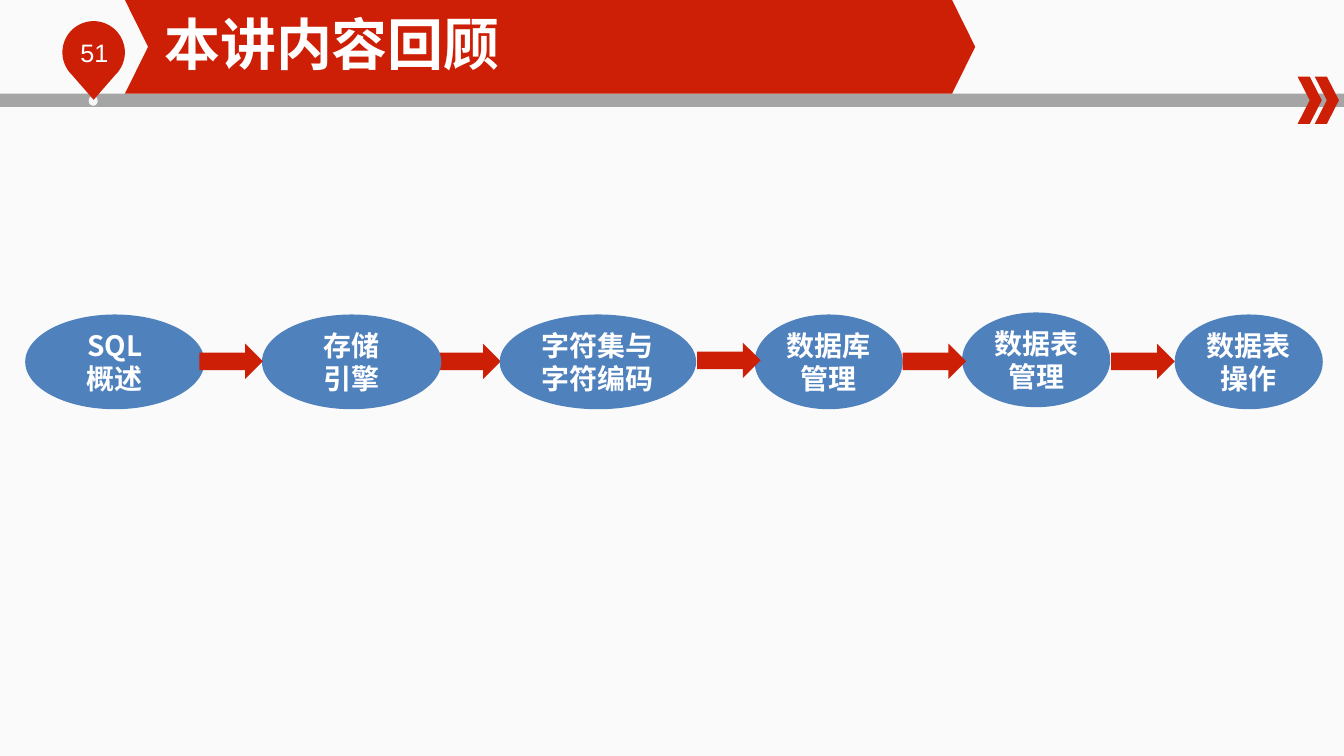
from dataclasses import dataclass
from math import cos, radians, sin

from lxml.etree import SubElement
from pptx import Presentation
from pptx.dml.color import RGBColor as RGB
from pptx.enum.shapes import MSO_SHAPE as SHAPE
from pptx.enum.text import MSO_ANCHOR as ANCHOR, MSO_AUTO_SIZE as AUTO, PP_ALIGN as ALIGN
from pptx.oxml.ns import qn
from pptx.util import Inches, Pt


@dataclass(frozen=True)
class Theme:
    """Colours, fonts and type sizes of the slide."""
    red: str = "CD1F06"
    blue: str = "4F81BD"
    grey: str = "A5A5A5"
    dot: str = "F6F6F6"
    white: str = "FFFFFF"
    back: tuple = ("FAFAFA", "FCFCFC")
    font: str = "Noto Sans CJK SC"
    number_font: str = "Arial"
    title_size: int = 40
    topic_size: int = 20
    number_size: int = 18


T = Theme()
W, H = 13.34, 7.5
TOPIC_H = 0.94
ARROW_W, ARROW_H = 0.63, 0.35
TOPICS = [
    ("SQL\n概述", 0.25, 3.12, 1.78),
    ("存储\n引擎", 2.6, 3.12, 1.78),
    ("字符集与字符编码", 4.96, 3.12, 1.95),
    ("数据库\n管理", 7.49, 3.12, 1.47),
    ("数据表\n管理", 9.55, 3.1, 1.47),
    ("数据表\n操作", 11.66, 3.12, 1.47),
]
ARROWS_BEHIND = [(4.34, 3.41)]
ARROWS_FRONT = [(1.98, 3.41), (6.92, 3.4), (8.96, 3.41), (11.03, 3.41)]


def paint(sp, color):
    """Give a shape a flat fill with no line or shadow."""
    sp.shadow.inherit = False
    sp.fill.solid()
    sp.fill.fore_color.rgb = RGB.from_string(color)
    sp.line.fill.background()
    return sp


def add_preset(s, kind, x, y, w, h, color):
    """Add a flat preset shape."""
    box = map(Inches, (x, y, w, h))
    return paint(s.shapes.add_shape(kind, *box), color)


def add_outline(s, points, color):
    """Add a flat closed polygon from points in inches."""
    start, *rest = [(Inches(x), Inches(y)) for x, y in points]
    builder = s.shapes.build_freeform(*start)
    builder.add_line_segments(rest, close=True)
    return paint(builder.convert_to_shape(), color)


def add_ribbon(s, left, right, top, bottom, notch, color):
    """Add a ribbon with a notched left end and a pointed right end."""
    mid = (top + bottom) / 2
    points = [(left, top), (right - notch, top), (right, mid),
              (right - notch, bottom), (left, bottom), (left + notch, mid)]
    return add_outline(s, points, color)


def add_pin(s, cx, cy, radius, tip, color):
    """Add a map pin made of an arc and a tip."""
    arc = [(cx + radius * cos(radians(a)), cy + radius * sin(radians(a)))
           for a in range(134, 407, 4)]
    return add_outline(s, arc + [(cx, tip)], color)


def set_text(sp, text, font, size, bold=True, align=ALIGN.LEFT):
    """Write text in a shape and format its runs."""
    tf = sp.text_frame
    tf.text = text
    tf.word_wrap = True
    for p in tf.paragraphs:
        p.alignment = align
        for r in p.runs:
            r.font.name, r.font.size, r.font.bold = font, Pt(size), bold
            r.font.color.rgb = RGB.from_string(T.white)
            SubElement(r.font._element, qn("a:ea")).set("typeface", font)
    return tf


def add_topic(s, text, x, y, w):
    """Add one topic ellipse."""
    sp = add_preset(s, SHAPE.OVAL, x, y, w, TOPIC_H, T.blue)
    tf = set_text(sp, text, T.font, T.topic_size, align=ALIGN.CENTER)
    tf.vertical_anchor = ANCHOR.MIDDLE


def add_arrows(s, places):
    """Add the block arrows of the flow."""
    for x, y in places:
        add_preset(s, SHAPE.RIGHT_ARROW, x, y, ARROW_W, ARROW_H, T.red)


def add_header(s):
    """Draw the header bar, page pin, ribbon and title."""
    add_preset(s, SHAPE.RECTANGLE, 0, 0.93, W, 0.13, T.grey)
    add_preset(s, SHAPE.OVAL, 0.88, 0.95, 0.09, 0.1, T.dot)
    add_pin(s, 0.93, 0.52, 0.31, 0.99, T.red)
    number = s.shapes.add_textbox(*map(Inches, (0.7, 0.32, 0.76, 0.4)))
    set_text(number, "51", T.number_font, T.number_size, bold=False)
    for left in (12.88, 13.05):
        add_ribbon(s, left, left + 0.24, 0.76, 1.23, 0.12, T.red)
    add_ribbon(s, 1.24, 9.68, 0, 0.93, 0.23, T.red)
    title = s.shapes.title
    s.shapes._spTree.append(title._element)
    title.left, title.top, title.width, title.height = map(Inches, (1.63, 0.09, 6.61, 0.67))
    tf = set_text(title, "本讲内容回顾", T.font, T.title_size)
    tf.auto_size, tf.vertical_anchor = AUTO.NONE, ANCHOR.MIDDLE
    tf.margin_left = tf.margin_right = tf.margin_top = tf.margin_bottom = 0


def main():
    """Build and save the slide."""
    prs = Presentation()
    prs.slide_width, prs.slide_height = Inches(W), Inches(H)
    s = prs.slides.add_slide(prs.slide_layouts[5])
    fill = s.background.fill
    fill.gradient()
    fill.gradient_angle = 270
    for stop, color in zip(fill.gradient_stops, T.back):
        stop.color.rgb = RGB.from_string(color)
    add_header(s)
    add_arrows(s, ARROWS_BEHIND)
    for topic in TOPICS:
        add_topic(s, *topic)
    add_arrows(s, ARROWS_FRONT)
    prs.save("out.pptx")


if __name__ == "__main__":
    main()
